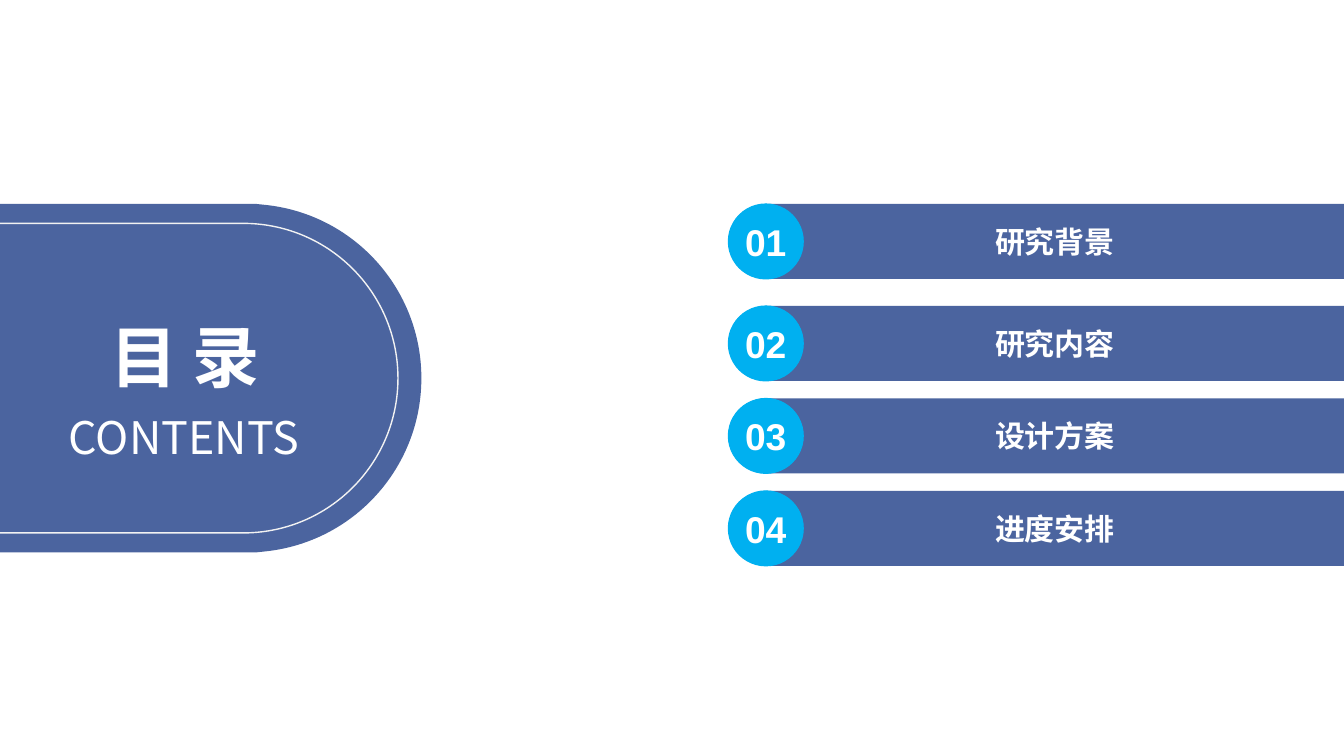
import math
from dataclasses import dataclass

from lxml import etree
from pptx import Presentation
from pptx import util as u
from pptx.dml.color import RGBColor
from pptx.enum import shapes, text
from pptx.oxml.ns import qn


@dataclass(frozen=True)
class Theme:
    navy: str = "4B649F"
    cyan: str = "00B0F0"
    white: str = "FFFFFF"
    pale: str = "F2F2F2"
    chinese: str = "Noto Sans CJK SC"
    latin: str = "Arial"
    title_size: float = 48
    subtitle_size: float = 32
    entry_size: float = 21.4
    number_size: float = 26.6


THEME = Theme()
MIDDLE_Y = 9.53  # centre line of the left panel, cm
ENTRIES = [  # top of each bar in cm, wording
    (5.14, "研究背景"),
    (7.71, "研究内容"),
    (10.04, "设计方案"),
    (12.37, "进度安排"),
]
BAR_LEFT, BAR_WIDTH, BAR_HEIGHT = 19.3, 14.57, 1.89


def apply(target, values):
    for key, value in values.items():
        setattr(target, key, value)


def paint(shape, fill=None, line=None, width=0.75):
    shape.shadow.inherit = False
    for part, color in ((shape.fill, fill), (shape.line.fill, line)):
        if color:
            part.solid()
            part.fore_color.rgb = RGBColor.from_string(color)
        else:
            part.background()
    if line:
        shape.line.width = u.Pt(width)


def write(shape, wording, font, size, bold=True, spacing=1.0, **frame):
    apply(shape.text_frame, frame)
    paragraph = shape.text_frame.paragraphs[0]
    apply(paragraph, {"alignment": text.PP_ALIGN.CENTER, "line_spacing": spacing})
    run = paragraph.add_run()
    run.text = wording
    apply(run.font, {"name": font, "size": u.Pt(size), "bold": bold})
    run.font.color.rgb = RGBColor.from_string(THEME.white)
    # East Asian glyphs take their own typeface element
    latin = run.font._element.find(qn("a:latin"))
    east_asian = etree.Element(qn("a:ea"), typeface=font)
    latin.addnext(east_asian)


def curve(band, first, count):
    """Turn each three line points from index first into one Bézier curve."""
    lines = list(band._element.iter(qn("a:lnTo")))
    for start in range(first, first + 3 * count, 3):
        bezier = etree.Element(qn("a:cubicBezTo"))
        lines[start].addprevious(bezier)
        for line in lines[start:start + 3]:
            bezier.append(line[0])
            line.getparent().remove(line)


def add_rounded_end(slide, right, radius, lead, closed, **paints):
    """Band from the left edge with a round end; lead is a short chamfer angle."""
    lead = math.radians(lead)
    center = right - radius
    handle = radius * 4 / 3 * math.tan((math.pi / 2 - lead) / 4)
    arc_x, arc_y = center + radius * math.sin(lead), radius * math.cos(lead)
    upper = [  # offsets from the centre line, top edge to tip
        (center + radius * math.tan(lead / 2), radius),
        (arc_x, arc_y),
        (arc_x + handle * math.cos(lead), arc_y - handle * math.sin(lead)),
        (right, handle),
    ]
    points = [(x, -y) for x, y in upper] + [(right, 0)] + upper[::-1] + [(0, radius)]
    outline = slide.shapes.build_freeform(0, u.Cm(MIDDLE_Y - radius))
    outline.add_line_segments(
        [(u.Cm(x), u.Cm(MIDDLE_Y + y)) for x, y in points], close=closed)
    band = outline.convert_to_shape()
    curve(band, first=2, count=2)
    paint(band, **paints)


def add_heading(slide):
    loose = {
        "word_wrap": False,
        "auto_size": text.MSO_AUTO_SIZE.SHAPE_TO_FIT_TEXT,
        "vertical_anchor": text.MSO_ANCHOR.TOP,
        "spacing": 1.5,
    }
    title = slide.shapes.title
    apply(title, {"left": u.Cm(2.44), "top": u.Cm(6.81),
                  "width": u.Cm(4.45), "height": u.Cm(2.97)})
    write(title, "目 录", THEME.chinese, THEME.title_size, **loose)
    # Bring the title in front of the panel
    slide.shapes._spTree.append(title._element)


def add_subtitle(slide):
    subtitle = slide.shapes.add_textbox(
        u.Cm(1.32), u.Cm(9.53), u.Cm(6.63), u.Cm(2.06))
    write(subtitle, "CONTENTS", THEME.chinese, THEME.subtitle_size,
          bold=False, spacing=1.5, word_wrap=False,
          auto_size=text.MSO_AUTO_SIZE.SHAPE_TO_FIT_TEXT)


def add_entry(slide, number, top, wording):
    middle = {"vertical_anchor": text.MSO_ANCHOR.MIDDLE, "word_wrap": True}
    bar = slide.shapes.add_shape(
        shapes.MSO_SHAPE.RECTANGLE,
        u.Cm(BAR_LEFT), u.Cm(top), u.Cm(BAR_WIDTH), u.Cm(BAR_HEIGHT))
    paint(bar, fill=THEME.navy)
    write(bar, wording, THEME.chinese, THEME.entry_size, **middle)

    badge = slide.shapes.add_shape(
        shapes.MSO_SHAPE.OVAL,
        u.Cm(BAR_LEFT - BAR_HEIGHT / 2), u.Cm(top),
        u.Cm(BAR_HEIGHT), u.Cm(BAR_HEIGHT))
    paint(badge, fill=THEME.cyan, line=THEME.cyan)
    write(badge, f"{number:02}", THEME.latin, THEME.number_size,
          margin_left=0, margin_right=0, **middle)


def main():
    deck = Presentation()
    apply(deck, {"slide_width": u.Cm(33.87), "slide_height": u.Cm(19.05)})
    slide = deck.slides.add_slide(deck.slide_layouts[5])

    # Left panel with its inner outline
    add_rounded_end(slide, right=10.62, radius=4.39, lead=6, closed=True,
                    fill=THEME.navy)
    add_rounded_end(slide, right=10.03, radius=3.9, lead=2.5, closed=False,
                    line=THEME.pale, width=1)
    add_heading(slide)

    # Contents list
    for number, (top, wording) in enumerate(ENTRIES, start=1):
        add_entry(slide, number, top, wording)
    add_subtitle(slide)

    deck.save("out.pptx")


if __name__ == "__main__":
    main()
